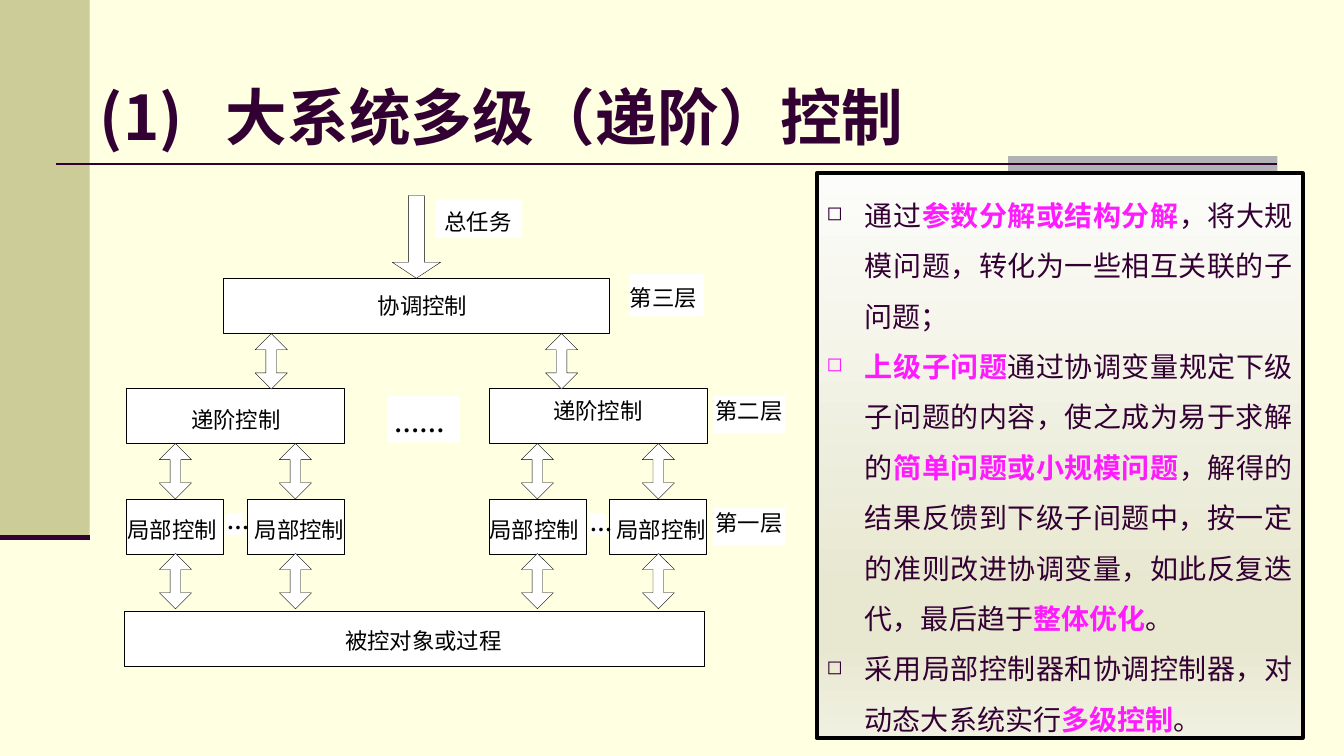
from lxml.etree import SubElement
from pptx import Presentation
from pptx.dml.color import RGBColor
from pptx.enum.shapes import MSO_CONNECTOR, MSO_SHAPE
from pptx.enum.text import MSO_ANCHOR, PP_ALIGN
from pptx.oxml.ns import qn
from pptx.util import Pt

PX = 9144
CJK = "Noto Sans CJK SC"
ROMAN = "Times New Roman"
COLORS = {
    "cream": "FFFFE1", "olive": "CCCC99", "gray": "B2B2B2", "plum": "330033",
    "white": "FFFFFF", "black": "000000", "magenta": "FF1AFF",
}
PANEL_STOPS = [(0, "FCFCFA"), (74, "E8E8D1"), (83, "E8E8D1"), (100, "F0F0E0")]


def add_block(kind, left, top, width, height, fill, line_width=0):
    block = slide.shapes.add_shape(kind, left * PX, top * PX, width * PX, height * PX)
    block.shadow.inherit = False
    block.fill.solid()
    block.fill.fore_color.rgb = RGBColor.from_string(COLORS[fill])
    if line_width:
        block.line.color.rgb = RGBColor.from_string(COLORS["black"])
        block.line.width = Pt(line_width)
    else:
        block.line.fill.background()
    return block


def add_run(paragraph, text, size, color, bold=False, font=CJK):
    run = paragraph.add_run()
    run.text = text
    run.font.size = Pt(size)
    run.font.bold = bold
    run.font.name = font
    run.font.color.rgb = RGBColor.from_string(COLORS[color])
    SubElement(run.font._element, qn("a:ea"), typeface=font)


prs = Presentation()
prs.slide_width = 1333 * PX
prs.slide_height = 750 * PX
slide = prs.slides.add_slide(prs.slide_layouts[6])
slide.background.fill.solid()
slide.background.fill.fore_color.rgb = RGBColor.from_string(COLORS["cream"])

add_block(MSO_SHAPE.RECTANGLE, 0, 0, 89, 533, "olive")
add_block(MSO_SHAPE.RECTANGLE, 1000, 155, 267, 20, "gray")
for start, end, y, width in [(56, 1267, 163, 1.5), (0, 89, 533, 3.5)]:
    rule = slide.shapes.add_connector(MSO_CONNECTOR.STRAIGHT, start * PX, y * PX, end * PX, y * PX)
    rule.line.color.rgb = RGBColor.from_string(COLORS["plum"])
    rule.line.width = Pt(width)
    SubElement(rule._element.spPr, qn("a:effectLst"))

patches = [
    (707, 504, 72, 37), (707, 393, 72, 37), (625, 272, 73, 42), (432, 198, 86, 38),
    (384, 393, 72, 46), (224, 509, 17, 22), (584, 509, 17, 22),
]
for patch in patches:
    add_block(MSO_SHAPE.RECTANGLE, *patch, "white")

controllers = [(221, 276, 383), (125, 385, 216), (485, 385, 216), (123, 606, 575)]
controllers += [(left, 495, 96) for left in (125, 245, 485, 604)]
for left, top, width in controllers:
    add_block(MSO_SHAPE.RECTANGLE, left, top, width, 55, "white", 0.25)

exchanges = [(253, 331), (541, 331)]
exchanges += [(left, top) for top in (440, 549) for left in (158, 277, 517, 637)]
for left, top in exchanges:
    exchange = add_block(MSO_SHAPE.UP_DOWN_ARROW, left, top, 32, 55, "white", 0.25)
    exchange.adjustments[0] = 0.33
    exchange.adjustments[1] = 0.33
task_arrow = add_block(MSO_SHAPE.DOWN_ARROW, 389, 194, 48, 82, "white", 0.25)
task_arrow.adjustments[0] = 0.33
task_arrow.adjustments[1] = 0.33

labels = [
    ("总任务", 438, 205, 72, 16, CJK),
    ("第三层", 622, 281, 72, 16, CJK),
    ("第二层", 707, 393, 72, 16, CJK),
    ("第一层", 707, 504, 72, 16, CJK),
    ("协调控制", 371, 289, 96, 16, CJK),
    ("递阶控制", 186, 402, 96, 16, CJK),
    ("递阶控制", 545, 393, 96, 16, CJK),
    ("被控对象或过程", 336, 621, 168, 16, CJK),
    ("……", 389, 403, 54, 18, ROMAN),
    ("…", 224, 502, 24, 16, ROMAN),
    ("…", 584, 504, 24, 16, ROMAN),
]
labels += [("局部控制", left, 511, 96, 16, CJK) for left in (123, 249, 482, 608)]
for text, left, top, width, size, font in labels:
    label = slide.shapes.add_textbox(left * PX, top * PX, width * PX, 30 * PX).text_frame
    label.word_wrap = False
    label.margin_left = label.margin_right = label.margin_top = label.margin_bottom = 0
    label.paragraphs[0].alignment = PP_ALIGN.CENTER
    label.paragraphs[0].line_spacing = Pt(size * 1.25)
    add_run(label.paragraphs[0], text, size, "black", font == ROMAN, font)

title = slide.shapes.add_textbox(75 * PX, 70 * PX, 885 * PX, 84 * PX).text_frame
title.word_wrap = True
title.margin_left = 24 * PX
heading = title.paragraphs[0]
tabs = SubElement(heading._p.get_or_add_pPr(), qn("a:tabLst"))
SubElement(tabs, qn("a:tab"), pos=str(125 * PX), algn="l")
heading.line_spacing = Pt(55)
add_run(heading, "(1)\t大系统多级（递阶）控制", 44, "plum", True)

panel = add_block(MSO_SHAPE.RECTANGLE, 810, 172, 482, 560, "white", 3)
panel.fill.gradient()
panel.fill.gradient_angle = 270
stops = panel._element.spPr.find(qn("a:gradFill")).find(qn("a:gsLst"))
for stop in list(stops):
    stops.remove(stop)
for percent, shade in PANEL_STOPS:
    stop = SubElement(stops, qn("a:gs"), pos=str(percent * 1000))
    SubElement(stop, qn("a:srgbClr"), val=shade)

points = [
    [("通过", False), ("参数分解或结构分解", True),
     ("，将大规模问题，转化为一些相互关联的子问题；", False)],
    [("上级子问题", True), ("通过协调变量规定下级子问题的内容，使之成为易于求解的", False),
     ("简单问题或小规模问题", True),
     ("，解得的结果反馈到下级子间题中，按一定的准则改进协调变量，如此反复迭代，最后趋于", False),
     ("整体优化", True), ("。", False)],
    [("采用局部控制器和协调控制器，对动态大系统实行", False), ("多级控制", True), ("。", False)],
]
body = panel.text_frame
body.word_wrap = True
body.vertical_anchor = MSO_ANCHOR.TOP
body.margin_left = body.margin_right = 10 * PX
body.margin_top = 8 * PX
body.margin_bottom = 2 * PX
for index, point in enumerate(points):
    paragraph = body.add_paragraph() if index else body.paragraphs[0]
    paragraph.alignment = PP_ALIGN.JUSTIFY
    properties = paragraph._p.get_or_add_pPr()
    properties.set("marL", str(38 * PX))
    properties.set("indent", str(-38 * PX))
    SubElement(properties, qn("a:buSzPct"), val="70000")
    SubElement(properties, qn("a:buChar"), char="◻")
    paragraph.line_spacing = Pt(36)
    for text, key in point:
        add_run(paragraph, text, 20, "magenta" if key else "plum", key)

prs.save("out.pptx")
